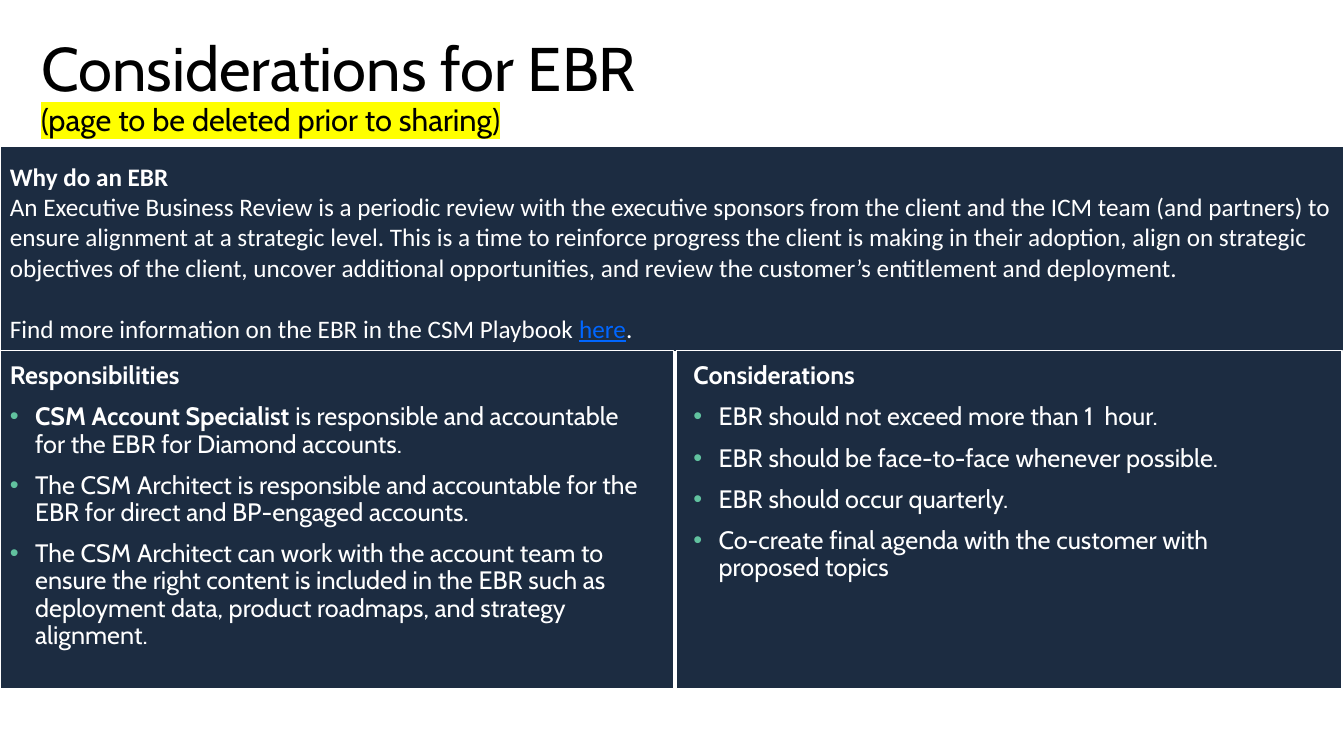
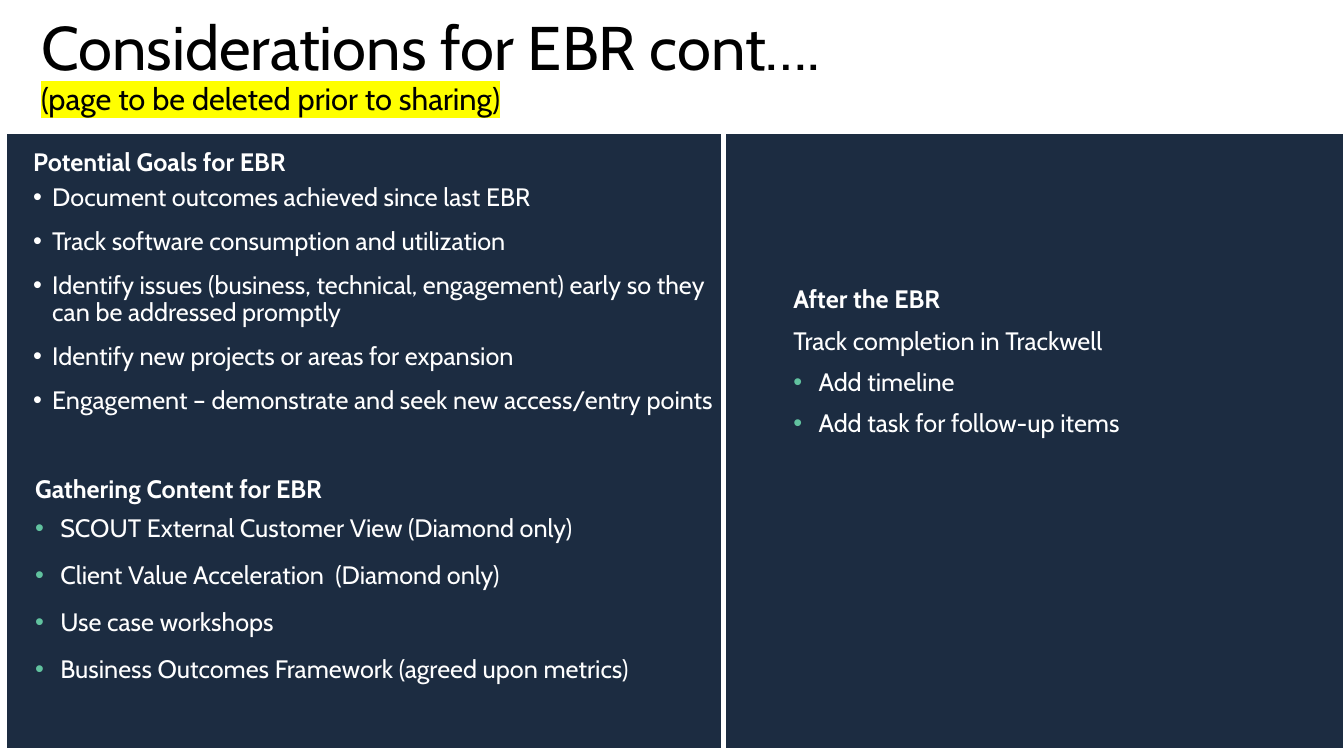
from lxml import etree
from pptx import Presentation
from pptx.dml.color import RGBColor as Color
from pptx.enum.shapes import MSO_SHAPE as Shape
from pptx.enum.text import MSO_ANCHOR as Anchor
from pptx.oxml.ns import qn
from pptx.util import Inches, Pt

THEME = {
    "navy": "1C2C41", "white": "FFFFFF", "black": "000000",
    "green": "61C29F", "blue": "0066FF", "yellow": "FFFF00",
    "heading_font": "Cabin", "body_font": "Calibri",
    "title_size": 44, "subtitle_size": 22, "body_size": 18,
}

BLOCK = {"line_spacing": 0.9, "space_before": Pt(10)}
TIGHT = {"line_spacing": 0.8, "space_before": Pt(10)}
EVEN = {"line_spacing": 0.9, "space_before": Pt(6), "space_after": Pt(6)}
LOOSE = {"line_spacing": 1.0, "space_before": Pt(6), "space_after": Pt(6)}
PLAIN = {"line_spacing": 1.0}
AFTER_GAP = {"line_spacing": 1.0, "space_before": Pt(22)}

GREEN_BULLET = (0.25, THEME["green"])
WHITE_BULLET = (0.19, THEME["white"])
BOLD = {"bold": True}
LINK_LOOK = {"underline": True, "color": THEME["blue"]}


def add_text(slide, box, paragraphs, anchor=Anchor.TOP, font=THEME["heading_font"]):
    frame = slide.shapes.add_textbox(*map(Inches, box)).text_frame
    frame.word_wrap = True
    frame.vertical_anchor = anchor
    for index, (runs, spacing, bullet) in enumerate(paragraphs):
        paragraph = frame.add_paragraph() if index else frame.paragraphs[0]
        for name, value in spacing.items():
            setattr(paragraph, name, value)
        if bullet:
            indent, color = bullet
            properties = paragraph._p.get_or_add_pPr()
            properties.set("marL", str(Inches(indent)))
            properties.set("indent", str(-Inches(indent)))
            bullet_color = etree.SubElement(properties, qn("a:buClr"))
            etree.SubElement(bullet_color, qn("a:srgbClr"), val=color)
            etree.SubElement(properties, qn("a:buFont"), typeface="Arial")
            etree.SubElement(properties, qn("a:buChar"), char="•")
        for text, changes in runs:
            if text == "\n":
                paragraph.add_line_break()
                continue
            look = {"name": font, "size": THEME["body_size"], "bold": False,
                    "color": THEME["white"], **changes}
            color, highlight = look.pop("color"), look.pop("highlight", None)
            look["size"] = Pt(look["size"])
            run = paragraph.add_run()
            run.text = text
            for name, value in look.items():
                setattr(run.font, name, value)
            run.font.color.rgb = Color.from_string(color)
            if highlight:
                marker = etree.Element(qn("a:highlight"))
                etree.SubElement(marker, qn("a:srgbClr"), val=highlight)
                run.font.fill._xPr.find(qn("a:solidFill")).addnext(marker)


def listing(heading, bullets, bullet=GREEN_BULLET, heading_spacing=BLOCK, spacing=BLOCK):
    items = [[(item, {})] if isinstance(item, str) else item for item in bullets]
    return [([(heading, BOLD)], heading_spacing, None)] + [
        (item, spacing, bullet) for item in items]


why = [
    ([("Why do an EBR", BOLD)], PLAIN, None),
    ([("An Executive Business Review is a periodic review with the executive sponsors "
       "from the client and the ICM team (and partners) to ensure alignment at a "
       "strategic level. This is a time to reinforce progress the client is making in "
       "their adoption, align on strategic objectives of the client, uncover additional "
       "opportunities, and review the customer’s entitlement and deployment.", {})],
     PLAIN, None),
    ([("Find more information on the EBR in the CSM Playbook ", {}),
      ("here", LINK_LOOK), (".", {})], AFTER_GAP, None),
]
responsibilities = listing("Responsibilities", [
    [("CSM Account Specialist ", BOLD),
     ("is responsible and accountable for the EBR for Diamond accounts.", {})],
    "The CSM Architect is responsible and accountable for the EBR for direct and "
    "BP-engaged accounts.",
    "The CSM Architect can work with the account team to ensure the right content is "
    "included in the EBR such as deployment data, product roadmaps, and strategy alignment.",
])
considerations = listing("Considerations", [
    "EBR should not exceed more than 1  hour.",
    "EBR should be face-to-face whenever possible.",
    "EBR should occur quarterly.",
    "Co-create final agenda with the customer with proposed topics",
])
goals = listing("Potential Goals for EBR", [
    "Document outcomes achieved since last EBR",
    "Track software consumption and utilization",
    "Identify issues (business, technical, engagement) early so they can be addressed promptly",
    "Identify new projects or areas for expansion",
    "Engagement – demonstrate and seek new access/entry points",
], WHITE_BULLET, TIGHT, EVEN)
gathering = listing("Gathering Content for EBR", [
    "SCOUT External Customer View (Diamond only)",
    "Client Value Acceleration  (Diamond only)",
    "Use case workshops",
    "Business Outcomes Framework (agreed upon metrics)",
], spacing=LOOSE)
follow_up = listing("After the EBR", ["Add timeline", "Add task for follow-up items"])
follow_up.insert(1, ([("Track completion in Trackwell", {})], BLOCK, None))

SLIDES = [
    {
        "title": "Considerations for EBR", "title_top": 0.29,
        "panels": [(0, 1.45, 13.33, 2.04), (0, 3.48, 6.68, 3.35), (6.71, 3.48, 6.6, 3.35)],
        "texts": [
            ((0, 1.55, 13.33, 1.92), why, THEME["body_font"]),
            ((0, 3.55, 6.51, 3.25), responsibilities, THEME["heading_font"]),
            ((6.78, 3.55, 5.97, 3.12), considerations, THEME["heading_font"]),
        ],
    },
    {
        "title": "Considerations for EBR cont….", "title_top": 0.08,
        "panels": [(0.06, 1.32, 7.1, 6.11), (7.19, 1.32, 6.14, 6.11)],
        "texts": [
            ((0.23, 1.46, 6.96, 3.15), goals, THEME["heading_font"]),
            ((0.25, 4.68, 6.96, 2.75), gathering, THEME["heading_font"]),
            ((7.77, 2.8, 5.5, 3.15), follow_up, THEME["heading_font"]),
        ],
    },
]

presentation = Presentation()
presentation.slide_width = Inches(13.33)
presentation.slide_height = Inches(7.5)

for page in SLIDES:
    slide = presentation.slides.add_slide(presentation.slide_layouts[6])
    for box in page["panels"]:
        panel = slide.shapes.add_shape(Shape.RECTANGLE, *map(Inches, box))
        panel.shadow.inherit = False
        panel.fill.solid()
        panel.fill.fore_color.rgb = Color.from_string(THEME["navy"])
        panel.line.color.rgb = Color.from_string(THEME["white"])
        panel.line.width = Pt(1)
    title_runs = [
        (page["title"], {"size": THEME["title_size"], "color": THEME["black"]}),
        ("\n", {}),
        ("(page to be deleted prior to sharing)",
         {"size": THEME["subtitle_size"], "color": THEME["black"],
          "highlight": THEME["yellow"]}),
    ]
    add_text(slide, (0.31, page["title_top"], 10.94, 1.17),
             [(title_runs, {"line_spacing": 0.9}, None)], Anchor.MIDDLE)
    for box, paragraphs, font in page["texts"]:
        add_text(slide, box, paragraphs, font=font)

presentation.save("out.pptx")
